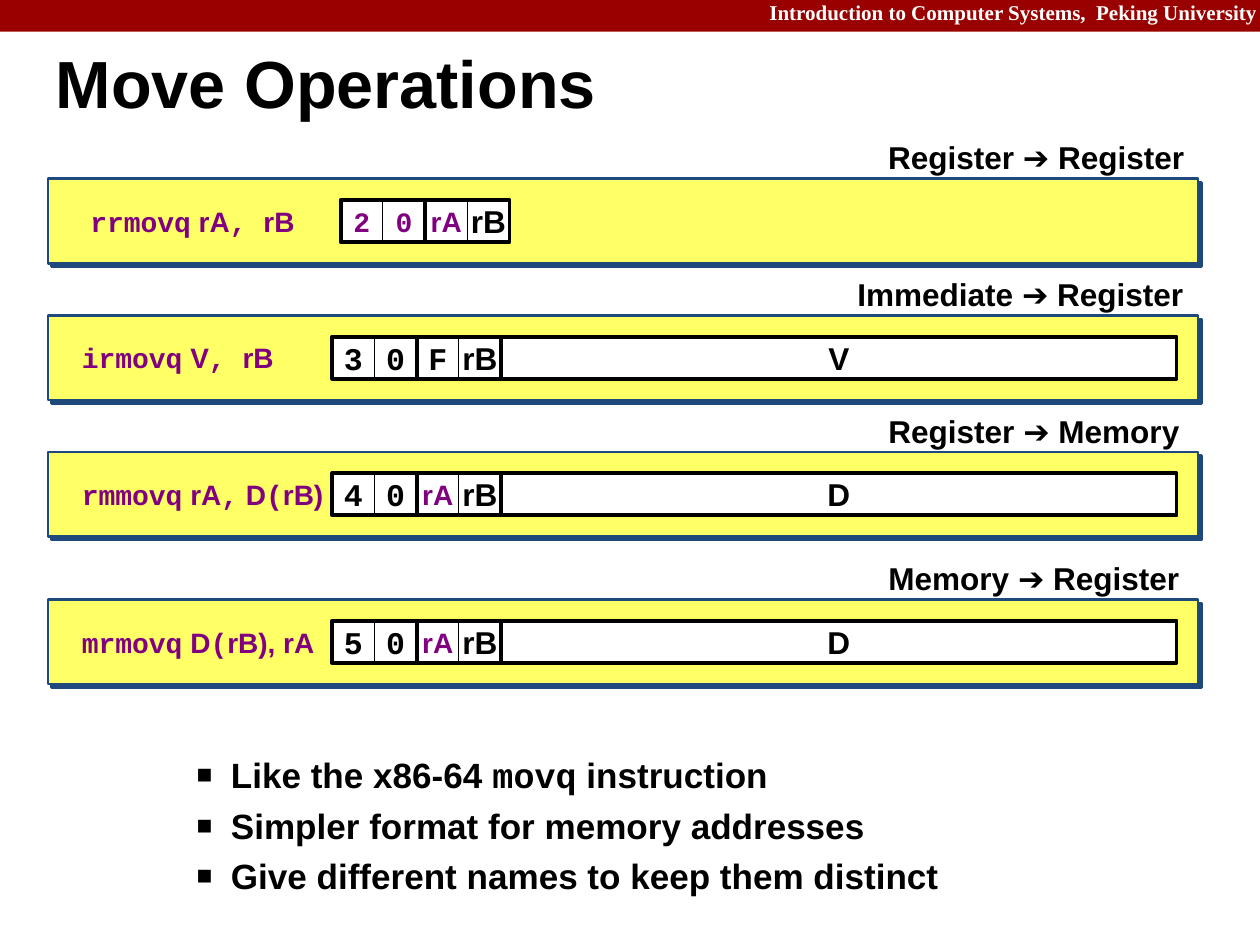
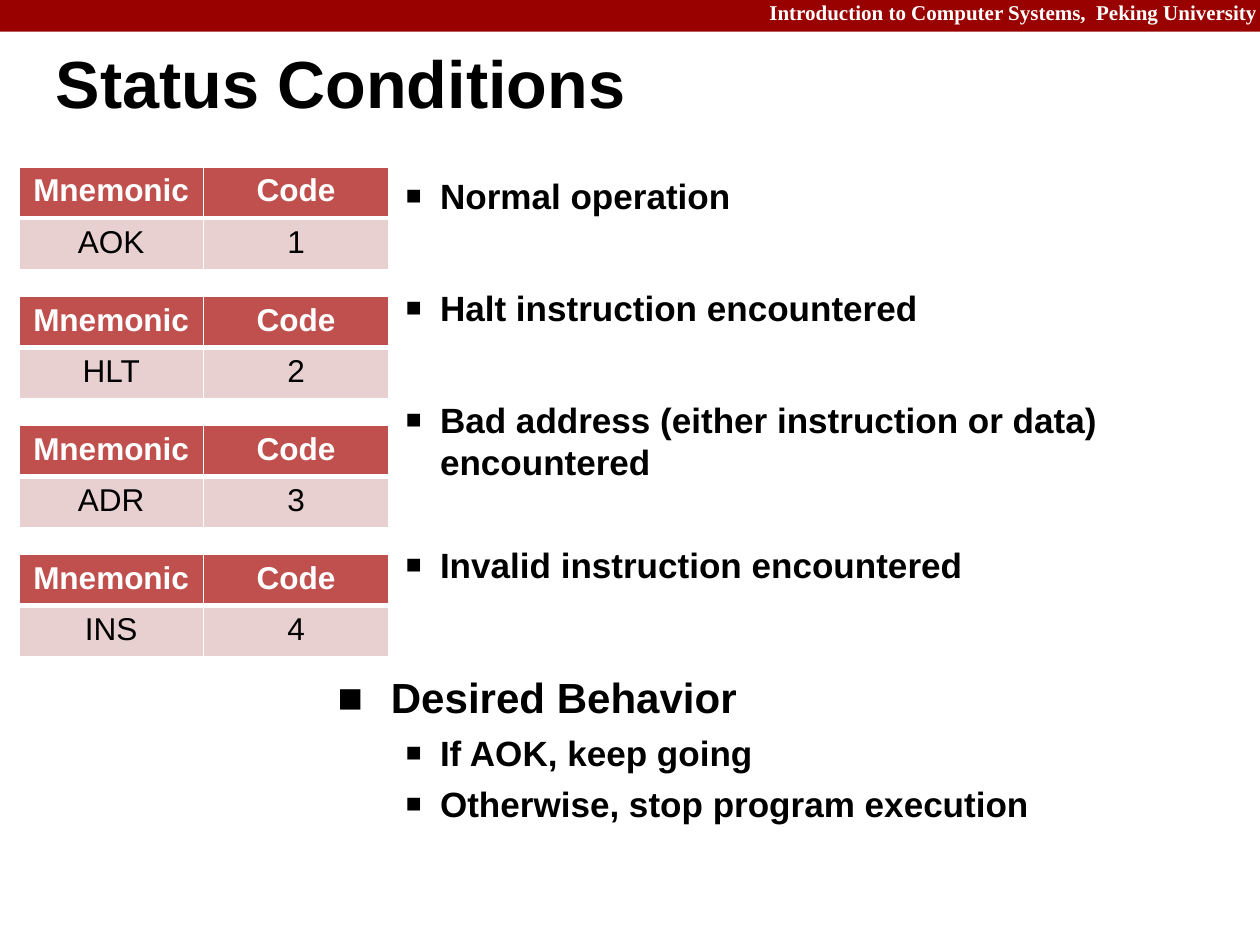
from dataclasses import dataclass
from itertools import cycle

from lxml.etree import SubElement
from pptx import Presentation
from pptx.dml.color import RGBColor
from pptx.enum.shapes import MSO_SHAPE as Shape
from pptx.enum.text import MSO_ANCHOR as Anchor, MSO_AUTO_SIZE as AutoSize, PP_ALIGN as Align
from pptx.oxml.ns import qn
from pptx.util import Cm, Pt

COLORS = {
    "band": "990000", "white": "FFFFFF", "black": "000000", "accent": "800080",
    "panel": "FFFF66", "panel_edge": "1F497D", "header": "C0504D", "row": "E8D0D0",
}
SANS, MONO, SERIF = "Arial", "Courier New", "Times New Roman"
SLIDE_WIDTH, SLIDE_HEIGHT = 25.37, 19.02
NIBBLE = 0.85
PANEL_LEFT, PANEL_WIDTH, PANEL_HEIGHT = 0.97, 23.15, 1.7
CODE_LEFT, FIELDS_LEFT, CONSTANT_WIDTH = 1.4, 6.69, 13.6
TABLE_LEFT, TABLE_TOP, TABLE_STEP = 0.38, 3.36, 2.6
COLUMN_WIDTH, ROW_HEIGHT = 3.72, 1.03


@dataclass
class Move:
    """One instruction; the code parts alternate between MONO and SANS."""
    top: float
    caption: str
    caption_right: float
    code: tuple
    nibbles: tuple
    constant: str = ""
    accented: tuple = ("rA",)
    indent: float = 0


MOVES = [
    Move(3.6, "Register ➔ Register", 23.98, ("rrmovq", " rA", ", ", "rB"),
         ("2", "0", "rA", "rB"), accented=("2", "0", "rA"), indent=0.17),
    Move(6.35, "Immediate ➔ Register", 23.96, ("irmovq", " V", ", ", "rB"),
         ("3", "0", "F", "rB"), "V"),
    Move(9.1, "Register ➔ Memory", 23.88, ("rmmovq", " rA", ",", " D", "(", "rB)"),
         ("4", "0", "rA", "rB"), "D"),
    Move(12.07, "Memory ➔ Register", 23.88, ("mrmovq", " D", "(", "rB), rA"),
         ("5", "0", "rA", "rB"), "D"),
]
MOVE_NOTES = [
    (1, 0, [("Like the x86-64 ", SANS), ("movq", MONO), (" instruction", SANS)]),
    (1, 5, [("Simpler format for memory addresses", SANS)]),
    (1, 5, [("Give different names to keep them distinct", SANS)]),
]
STATUSES = [("AOK", "1"), ("HLT", "2"), ("ADR", "3"), ("INS", "4")]
STATUS_NOTES = [
    (1, 0, [("Normal operation", SANS)]),
    (1, 40, [("Halt instruction encountered", SANS)]),
    (1, 40, [("Bad address (either instruction or data) encountered", SANS)]),
    (1, 34.5, [("Invalid instruction encountered", SANS)]),
    (0, 51, [("Desired Behavior", SANS)]),
    (1, 5, [("If AOK, keep going", SANS)]),
    (1, 5, [("Otherwise, stop program execution", SANS)]),
]


def rgb(name):
    return RGBColor.from_string(COLORS[name])


def place(shape, left, top, width, height):
    shape.left, shape.top, shape.width, shape.height = map(Cm, (left, top, width, height))


def set_font(font, size, color="black", name=SANS, bold=True):
    font.size, font.name, font.bold = Pt(size), name, bold
    font.color.rgb = rgb(color)


def set_frame(frame, anchor, inset=0.0, wrap=False):
    frame.auto_size, frame.word_wrap, frame.vertical_anchor = AutoSize.NONE, wrap, anchor
    frame.margin_left = frame.margin_right = Cm(inset)
    frame.margin_top = frame.margin_bottom = Cm(inset)


def add_box(shapes, left, top, width, height, fill=None, line=None, weight=0.5):
    box = shapes.add_shape(Shape.RECTANGLE, *map(Cm, (left, top, width, height)))
    box.shadow.inherit = False
    if fill:
        box.fill.solid()
        box.fill.fore_color.rgb = rgb(fill)
    else:
        box.fill.background()
    if line:
        box.line.color.rgb = rgb(line)
        box.line.width = Pt(weight)
    else:
        box.line.fill.background()
    return box


def add_label(slide, text, left, top, width, height, inset, size, color="black", name=SANS):
    """Add a one-line, right-aligned text box."""
    label = slide.shapes.add_textbox(*map(Cm, (left, top, width, height)))
    set_frame(label.text_frame, Anchor.TOP, inset)
    paragraph = label.text_frame.paragraphs[0]
    paragraph.text, paragraph.alignment, paragraph.line_spacing = text, Align.RIGHT, 0.9
    set_font(paragraph.font, size, color, name)
    return label


def move_to_master(slide, shapes):
    """Make shapes of one slide part of the master, so that every slide shows them."""
    tree = slide.slide_layout.slide_master.shapes.element
    for number, shape in enumerate(shapes, start=101):
        shape.element.nvSpPr.cNvPr.set("id", str(number))
        tree.append(shape.element)


def add_course_band(slide):
    band = add_box(slide.shapes, 0, 0, SLIDE_WIDTH, 0.64, fill="band")
    course = add_label(slide, "Introduction to Computer Systems,  Peking University",
                       15, 0, SLIDE_WIDTH - 15, 0.64, 0.05, 12, "white", SERIF)
    move_to_master(slide, [band, course])


def add_slide(prs, title):
    slide = prs.slides.add_slide(prs.slide_layouts[1])
    heading = slide.shapes.title
    place(heading, 1.12, 0.69, 24.18, 2.16)
    set_frame(heading.text_frame, Anchor.MIDDLE, wrap=True)
    paragraph = heading.text_frame.paragraphs[0]
    paragraph.text, paragraph.alignment, paragraph.line_spacing = title, Align.LEFT, 0.87
    set_font(paragraph.font, 38)
    return slide


def set_bullet(paragraph, margin, hanging, percent):
    properties = paragraph._p.get_or_add_pPr()
    properties.set("marL", str(Cm(margin)))
    properties.set("indent", str(-Cm(hanging)))
    SubElement(properties, qn("a:buSzPct"), val=str(percent * 1000))
    SubElement(properties, qn("a:buFont"), typeface=SANS)
    SubElement(properties, qn("a:buChar"), char="■")


def fill_body(slide, notes, left, top, width, height):
    """Write notes given as (level, points before, [(text, font name), ...])."""
    body = slide.placeholders[1]
    place(body, left, top, width, height)
    frame = body.text_frame
    set_frame(frame, Anchor.TOP, 0.13, wrap=True)
    frame.margin_left = frame.margin_right = Cm(0.25)
    for index, (level, before, parts) in enumerate(notes):
        paragraph = frame.add_paragraph() if index else frame.paragraphs[0]
        paragraph.level, paragraph.space_before = level, Pt(before)
        paragraph.line_spacing = 1.0 if level else 0.95
        set_bullet(paragraph, *((2.06, 0.69, 75) if level else (1.07, 1.07, 100)))
        set_font(paragraph.font, 20 if level else 24)
        for text, name in parts:
            run = paragraph.add_run()
            run.text = text
            if name != SANS:
                run.font.name = name


def add_field(shapes, text, left, top, width, weight=0.5, name=SANS, accented=False):
    field = add_box(shapes, left, top, width, NIBBLE, "white", "black", weight)
    set_frame(field.text_frame, Anchor.MIDDLE)
    paragraph = field.text_frame.paragraphs[0]
    paragraph.text, paragraph.alignment = text, Align.CENTER
    set_font(paragraph.font, 16 if accented else 18, "accent" if accented else "black", name)


def add_byte(slide, nibbles, left, top, accented):
    """Group two nibbles under a heavy outline."""
    shapes = slide.shapes.add_group_shape().shapes
    for index, text in enumerate(nibbles):
        add_field(shapes, text, left + index * NIBBLE, top, NIBBLE,
                  name=MONO if len(text) == 1 else SANS, accented=text in accented)
    add_box(shapes, left, top, 2 * NIBBLE, NIBBLE, line="black", weight=2.25)


def add_panel(slide, top):
    panel = add_box(slide.shapes, PANEL_LEFT, top, PANEL_WIDTH, PANEL_HEIGHT,
                    "panel", "panel_edge", 1.5)
    effects = panel.element.spPr.find(qn("a:effectLst"))
    shadow = SubElement(effects, qn("a:outerShdw"), blurRad="0", dist=str(Pt(2.8)),
                        dir="2700000", algn="ctr", rotWithShape="0")
    SubElement(shadow, qn("a:srgbClr"), val=COLORS["panel_edge"])


def add_code(slide, parts, left, top):
    code = slide.shapes.add_textbox(*map(Cm, (left, top, 5.28, NIBBLE)))
    set_frame(code.text_frame, Anchor.MIDDLE)
    code.text_frame.margin_left = Cm(0.25)
    for text, name in zip(parts, cycle((MONO, SANS))):
        run = code.text_frame.paragraphs[0].add_run()
        run.text = text
        set_font(run.font, 16, "accent", name)


def add_move(slide, move):
    add_panel(slide, move.top)
    add_label(slide, move.caption, move.caption_right - 7, move.top - 0.86, 7, 0.97, 0.13, 18)
    top = move.top + (PANEL_HEIGHT - NIBBLE) / 2
    left = FIELDS_LEFT + move.indent
    for start in (0, 2):
        add_byte(slide, move.nibbles[start:start + 2], left + start * NIBBLE, top, move.accented)
    if move.constant:
        add_field(slide.shapes, move.constant, left + 4 * NIBBLE, top, CONSTANT_WIDTH, 2.25)
    add_code(slide, move.code, CODE_LEFT + move.indent, top)


def set_borders(cell, top, bottom):
    properties = cell._tc.get_or_add_tcPr()
    for side, weight in (("L", 1), ("R", 1), ("T", top), ("B", bottom)):
        border = SubElement(properties, qn(f"a:ln{side}"), w=str(Pt(weight)))
        fill = SubElement(border, qn("a:solidFill"))
        SubElement(fill, qn("a:srgbClr"), val=COLORS["white"])


def fill_cell(cell, text, is_header):
    set_borders(cell, *((1, 3) if is_header else (3, 1)))
    cell.fill.solid()
    cell.fill.fore_color.rgb = rgb("header" if is_header else "row")
    paragraph = cell.text_frame.paragraphs[0]
    paragraph.text, paragraph.alignment = text, Align.CENTER
    set_font(paragraph.font, 18, "white" if is_header else "black", bold=is_header)


def add_status_table(slide, status, top):
    table = slide.shapes.add_table(
        2, 2, *map(Cm, (TABLE_LEFT, top, 2 * COLUMN_WIDTH, 2 * ROW_HEIGHT))).table
    for row, texts in enumerate((("Mnemonic", "Code"), status)):
        for column, text in enumerate(texts):
            fill_cell(table.cell(row, column), text, row == 0)


def main():
    prs = Presentation()
    prs.slide_width, prs.slide_height = Cm(SLIDE_WIDTH), Cm(SLIDE_HEIGHT)

    moves = add_slide(prs, "Move Operations")
    add_course_band(moves)
    for move in MOVES:
        add_move(moves, move)
    fill_body(moves, MOVE_NOTES, 2.34, 15.03, 21.39, 3.5)

    conditions = add_slide(prs, "Status Conditions")
    for index, status in enumerate(STATUSES):
        add_status_table(conditions, status, TABLE_TOP + index * TABLE_STEP)
    fill_body(conditions, STATUS_NOTES, 6.55, 3.38, 17.3, 14.4)

    prs.save("out.pptx")


if __name__ == "__main__":
    main()
